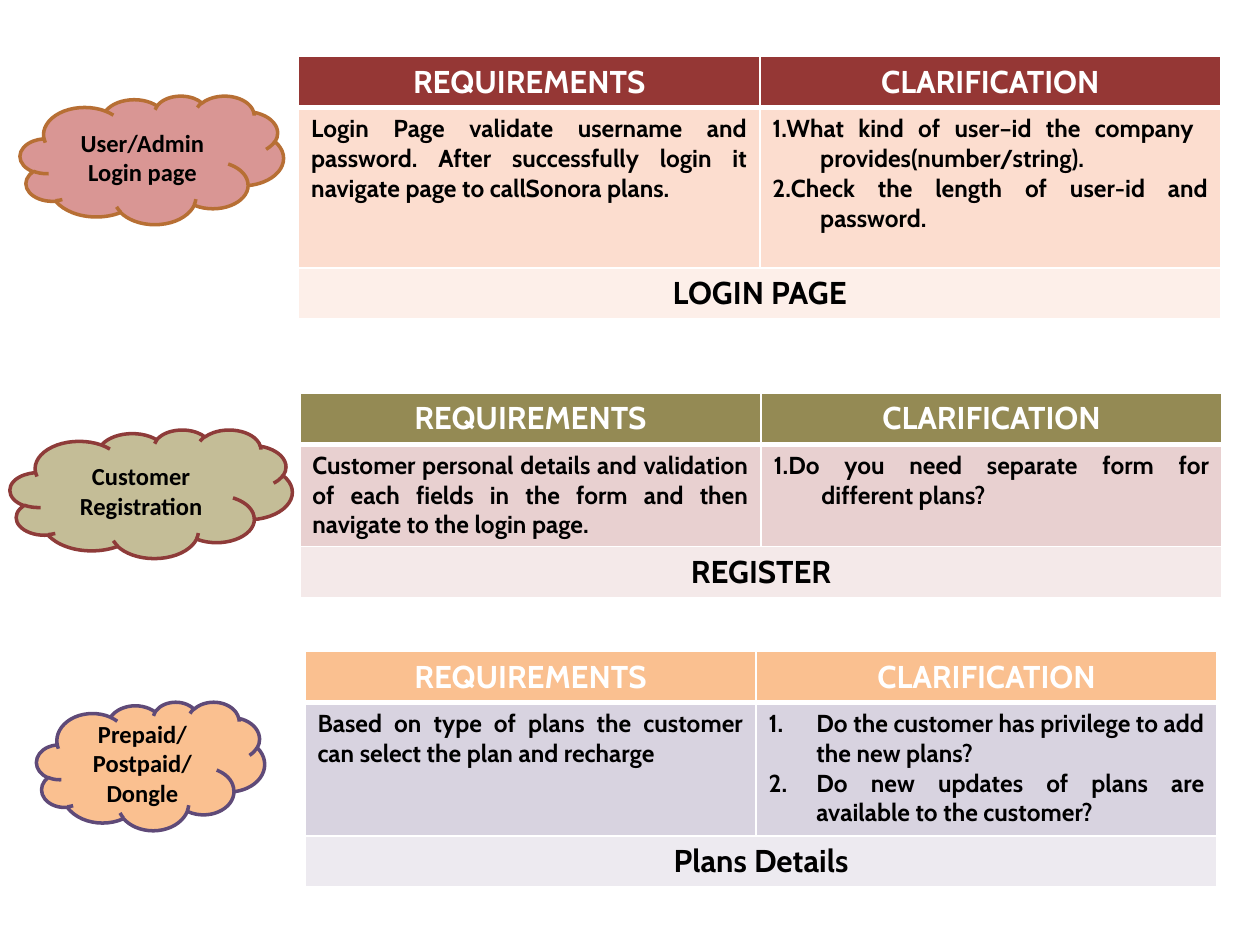
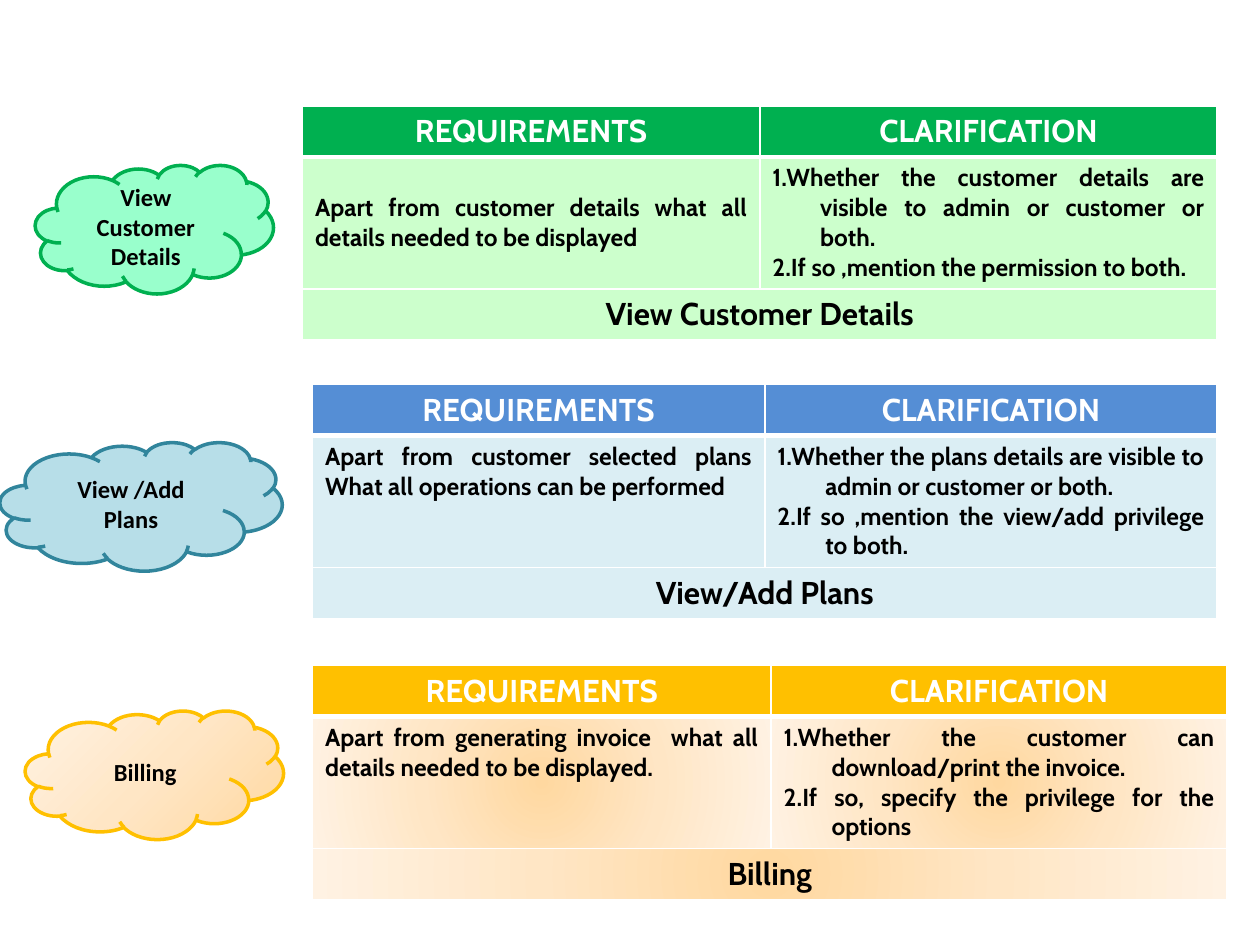
from dataclasses import dataclass

from lxml import etree
from pptx import Presentation
from pptx import util as u
from pptx.dml.color import RGBColor
from pptx.enum import shapes, text
from pptx.oxml import ns

GRID_COLUMNS, GRID_ROWS = 100, 75
BLACK, WHITE = "000000", "FFFFFF"
AMBER_FADE = ("FFD8A0", "FFE6C5", "FFF2E3")
CLOUD_ROWS, BAND_ROWS = 10.2, 4
CENTER, JUSTIFY = text.PP_ALIGN.CENTER, text.PP_ALIGN.JUSTIFY
TOP, MIDDLE = text.MSO_ANCHOR.TOP, text.MSO_ANCHOR.MIDDLE


def color(hex_string):
    return RGBColor.from_string(hex_string)


def add_element(parent, tag, **attributes):
    element = etree.SubElement(parent, ns.qn(f"a:{tag}"))
    for name, value in attributes.items():
        element.set(name, str(value))
    return element


@dataclass
class Topic:
    """One cloud and its table; lengths are in grid columns and rows."""
    label: str
    cloud_box: tuple  # left, top, width
    cloud_fill: object
    cloud_line: str
    table_corner: tuple
    column_widths: tuple
    body_rows: float
    header_fill: str
    body_fill: object
    footer_fill: object
    requirement: str
    questions: tuple
    footer: str
    auto_numbered: bool = False
    requirement_anchor: object = TOP


class Deck:
    label_font, table_font = "Calibri", "Cabin"
    body_size, heading_size = 14, 18
    hanging = u.Inches(0.38)

    def __init__(self):
        self.presentation = Presentation()
        self.presentation.slide_width = u.Inches(10)
        self.presentation.slide_height = u.Inches(7.5)
        self.slide = None

    def new_slide(self):
        self.slide = self.presentation.slides.add_slide(
            self.presentation.slide_layouts[6])

    def x(self, columns):
        return round(self.presentation.slide_width * columns / GRID_COLUMNS)

    def y(self, rows):
        return round(self.presentation.slide_height * rows / GRID_ROWS)

    def paint(self, fill, parent, paint, angle=None):
        """Fill with a hex colour or with stops: linear if angled, else radial."""
        if isinstance(paint, str):
            fill.solid()
            fill.fore_color.rgb = color(paint)
            return
        fill.gradient()
        gradient = parent.find(ns.qn("a:gradFill"))
        gradient.clear()
        stops = add_element(gradient, "gsLst")
        for index, stop_color in enumerate(paint):
            stop = add_element(stops, "gs", pos=index * 100000 // (len(paint) - 1))
            add_element(stop, "srgbClr", val=stop_color)
        if angle is None:
            radial = add_element(gradient, "path", path="circle")
            add_element(radial, "fillToRect", l=50000, t=50000, r=50000, b=50000)
        else:
            add_element(gradient, "lin", ang=angle * 60000, scaled=0)

    def set_text(self, frame, content, font_name, size, font_color, alignment):
        frame.text = content
        for paragraph in frame.paragraphs:
            paragraph.alignment = alignment
            font = paragraph.font
            font.name, font.size, font.bold = font_name, u.Pt(size), True
            font.color.rgb = color(font_color)

    def hang(self, frame, auto_numbered):
        for paragraph in frame.paragraphs:
            properties = paragraph._p.get_or_add_pPr()
            properties.set("marL", str(self.hanging))
            properties.set("indent", str(-self.hanging))
            if auto_numbered:
                number = add_element(properties, "buAutoNum", type="arabicPeriod")
                properties.insert(0, number)

    def border(self, cell, bottom):
        properties = cell._tc.get_or_add_tcPr()
        sides = {"lnL": 1, "lnR": 1, "lnT": 1, "lnB": bottom}
        for index, (side, width) in enumerate(sides.items()):
            line = add_element(properties, side, w=u.Pt(width))
            add_element(add_element(line, "solidFill"), "srgbClr", val=WHITE)
            properties.insert(index, line)

    def cloud(self, topic):
        left, top, width = topic.cloud_box
        shape = self.slide.shapes.add_shape(
            shapes.MSO_SHAPE.CLOUD, self.x(left), self.y(top),
            self.x(width), self.y(CLOUD_ROWS))
        shape.shadow.inherit = False
        self.paint(shape.fill, shape._element.spPr, topic.cloud_fill, angle=225)
        shape.line.color.rgb = color(topic.cloud_line)
        shape.line.width = u.Pt(2)
        shape.text_frame.vertical_anchor = MIDDLE
        self.set_text(shape.text_frame, topic.label, self.label_font,
                      self.body_size, BLACK, CENTER)

    def table(self, topic):
        left, top = topic.table_corner
        heights = (BAND_ROWS, topic.body_rows, BAND_ROWS)
        table = self.slide.shapes.add_table(
            3, 2, self.x(left), self.y(top),
            self.x(sum(topic.column_widths)), self.y(sum(heights))).table
        table.horz_banding = False
        for column, width in zip(table.columns, topic.column_widths):
            column.width = self.x(width)
        for row, height in zip(table.rows, heights):
            row.height = self.y(height)
        table.cell(2, 0).merge(table.cell(2, 1))

        rows = (
            (("REQUIREMENTS", "CLARIFICATION"), topic.header_fill,
             self.heading_size, WHITE, CENTER, 3),
            ((topic.requirement, "\n".join(topic.questions)), topic.body_fill,
             self.body_size, BLACK, JUSTIFY, 1),
            ((topic.footer, ""), topic.footer_fill,
             self.heading_size, BLACK, CENTER, 1),
        )
        for row, (contents, fill, size, font_color, alignment, bottom) in enumerate(rows):
            for column, content in enumerate(contents):
                cell = table.cell(row, column)
                self.paint(cell.fill, cell._tc.get_or_add_tcPr(), fill)
                self.border(cell, bottom)
                if not cell.is_spanned:
                    self.set_text(cell.text_frame, content, self.table_font,
                                  size, font_color, alignment)
        table.cell(1, 0).vertical_anchor = topic.requirement_anchor
        self.hang(table.cell(1, 1).text_frame, topic.auto_numbered)


LOGIN_TOPICS = (
    Topic("User/Admin Login page", (1.6, 7.6, 20.9), "D99694", "B76F34",
          (23.7, 4.5), (36.6, 36.6), 12.7, "953735", "FCDDCF", "FDEFE9",
          "Login Page validate username and password. After successfully login "
          "it navigate page to callSonora plans.",
          ("1.What kind of user–id the company  provides(number/string).",
           "2.Check the length of user-id and password."),
          "LOGIN PAGE"),
    Topic("Customer Registration", (0.8, 34.1, 22.4), "C4BD97", "8E3B39",
          (23.8, 31.2), (36.6, 36.6), 8, "948A54", "E8D0D0", "F4E9E9",
          "Customer personal details and validation of each fields in the form "
          "and then navigate to the login page.",
          ("1.Do you need separate form for different plans?",),
          "REGISTER"),
    Topic("Prepaid/\nPostpaid/\nDongle", (2.9, 55.7, 18.1), "FAC090", "5F4A78",
          (24.2, 51.7), (35.8, 36.6), 10.6, "FAC090", "D8D3E0", "EDEAF0",
          "Based on type of plans the customer can select the plan and recharge",
          ("Do the customer has privilege to add the new plans?",
           "Do new updates of plans are available to the customer?"),
          "Plans Details", auto_numbered=True),
)
VIEW_TOPICS = (
    Topic("View Customer Details", (2.8, 13.1, 18.9), "99FFCC", "00B050",
          (24, 8.4), (36.3, 36.3), 10.3, "00B050", "CCFFCC", "CCFFCC",
          "Apart from customer details what all details needed to be displayed",
          ("1.Whether the customer details are visible to admin or customer or both.",
           "2.If so ,mention the permission to both."),
          "View Customer Details", requirement_anchor=MIDDLE),
    Topic("View /Add Plans", (0, 35.1, 22.4), "B7DEE8", "31859C",
          (24.8, 30.5), (35.9, 35.9), 10.3, "558ED5", "DBEEF4", "DBEEF4",
          "Apart from customer selected plans What all operations can be performed",
          ("1.Whether the plans details are visible to admin or customer or both.",
           "2.If so ,mention the view/add privilege to both."),
          "View/Add Plans"),
    Topic("Billing", (2, 56.4, 20.5), AMBER_FADE, "FFC000",
          (24.8, 52.8), (36.4, 36.2), 10.3, "FFC000", AMBER_FADE, AMBER_FADE,
          "Apart from generating invoice  what all details needed to be displayed.",
          ("1.Whether the customer can download/print the invoice.",
           "2.If so, specify the privilege for the options"),
          "Billing"),
)


def main():
    deck = Deck()
    for topics in (LOGIN_TOPICS, VIEW_TOPICS):
        deck.new_slide()
        for topic in topics:
            deck.cloud(topic)
        for topic in topics:
            deck.table(topic)
    deck.presentation.save("out.pptx")


if __name__ == "__main__":
    main()
